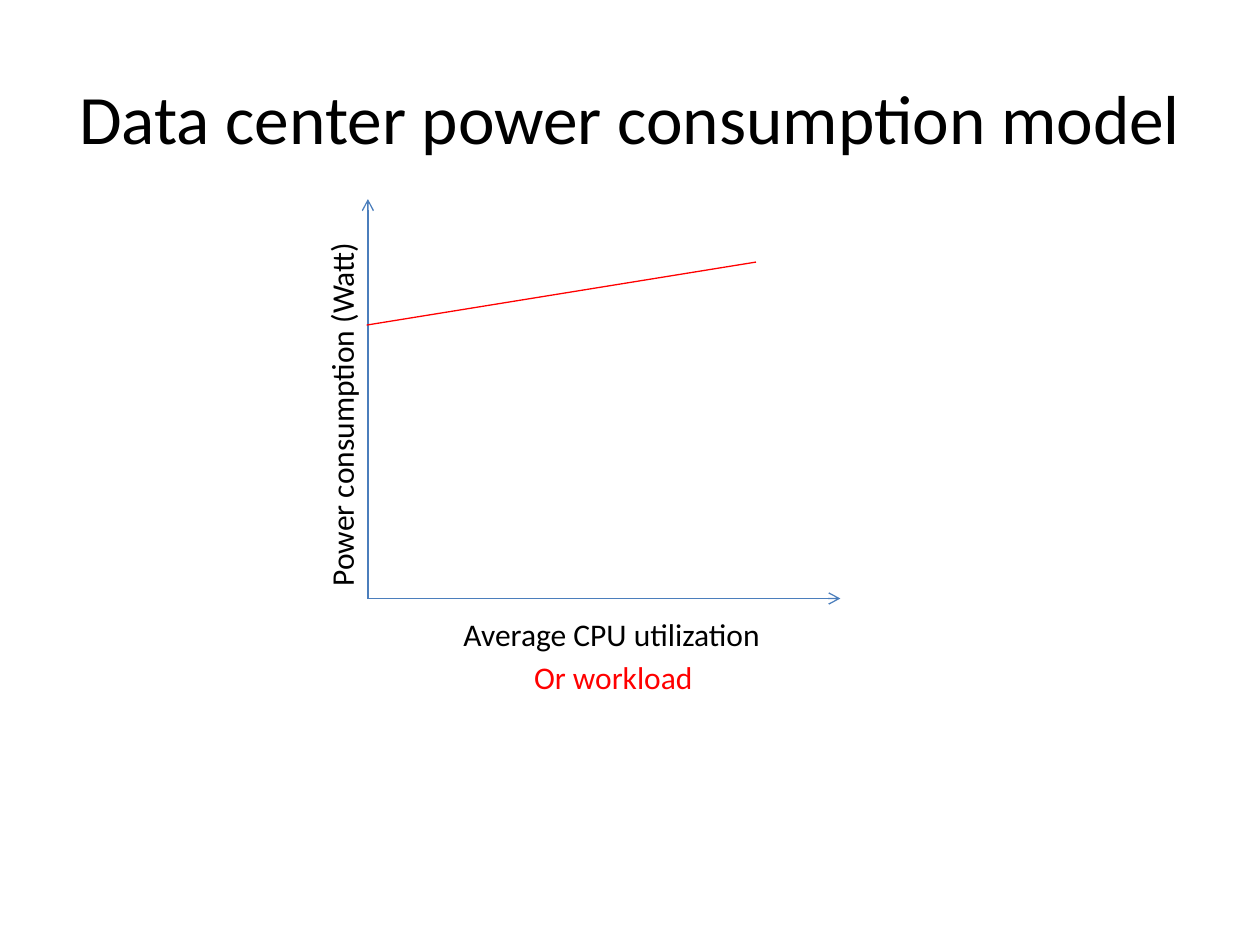
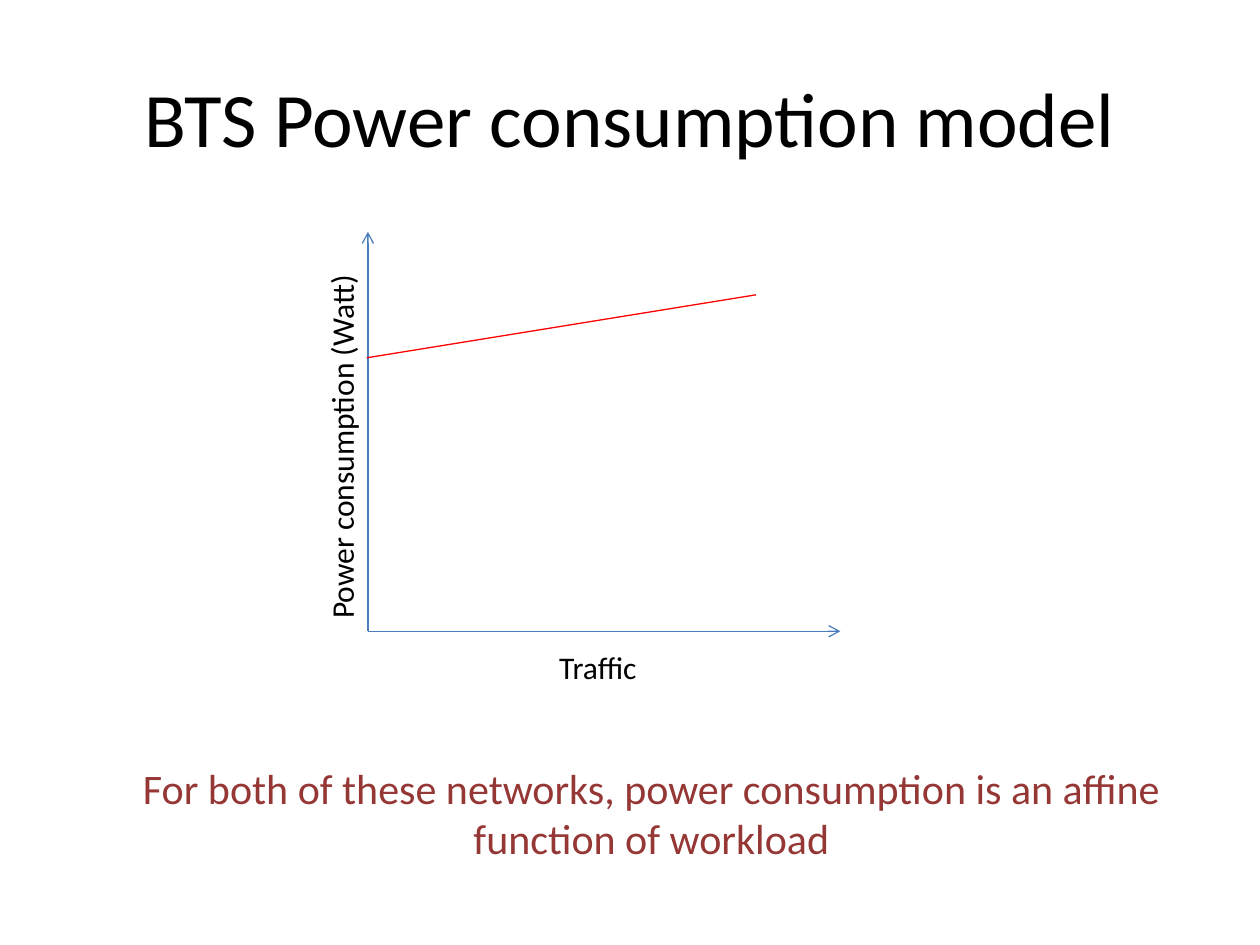
import pptx
import pptx.dml.color
import pptx.enum.shapes
import pptx.enum.text
import pptx.oxml
import pptx.oxml.ns
import pptx.util
from pptx.util import Inches

ANCHOR = pptx.enum.text.MSO_ANCHOR
ALIGN = pptx.enum.text.PP_ALIGN
BLACK, WHITE, RED = "000000", "FFFFFF", "FF0000"
BLUE, BROWN = "4B7EBC", "953735"
SPACE = 'xmlns:a="http://schemas.openxmlformats.org/drawingml/2006/main"'


def tint(code):
    return pptx.dml.color.RGBColor.from_string(code)


def assign(target, values):
    for name, value in values.items():
        setattr(target, name, value)


class Deck:
    """Holds the shared style and the slide being drawn."""

    font = {"name": "Calibri"}

    def __init__(self):
        self.file = pptx.Presentation()
        assign(self.file, {"slide_width": Inches(10), "slide_height": Inches(7.5)})

    def start(self, title, size):
        """Add a slide with its title."""
        self.slide = self.file.slides.add_slide(self.file.slide_layouts[6])
        self.text(title, 0.5, 0.3, 9, 1.25, size=size, align=ALIGN.CENTER,
                  wrap=True, anchor=ANCHOR.MIDDLE)

    def letter(self, shape, words, color=BLACK, size=18, align=ALIGN.LEFT,
               wrap=False, anchor=ANCHOR.TOP):
        """Put styled words into a shape."""
        frame = shape.text_frame
        assign(frame, {"word_wrap": wrap, "vertical_anchor": anchor})
        line = frame.paragraphs[0]
        line.alignment = align
        run = line.add_run()
        run.text = words
        assign(run.font, self.font | {"size": pptx.util.Pt(size)})
        run.font.color.rgb = tint(color)

    def text(self, words, left, top, width, height, **style):
        box = self.slide.shapes.add_textbox(
            Inches(left), Inches(top), Inches(width), Inches(height))
        self.letter(box, words, **style)

    def label(self, words, left, top, width, height):
        """Add a white box whose text reads upwards."""
        box = self.slide.shapes.add_shape(
            pptx.enum.shapes.MSO_SHAPE.RECTANGLE,
            Inches(left), Inches(top), Inches(width), Inches(height))
        box.rotation = 270
        box.shadow.inherit = False
        box.fill.solid()
        box.fill.fore_color.rgb = tint(WHITE)
        box.line.fill.background()
        self.letter(box, words)

    def line(self, start, end, color, arrow=False):
        link = self.slide.shapes.add_connector(
            pptx.enum.shapes.MSO_CONNECTOR.STRAIGHT,
            *(Inches(value) for value in start + end))
        link.line.width = pptx.util.Pt(0.75)
        link.line.color.rgb = tint(color)
        props = link.element.spPr
        if arrow:
            stroke = props.find(pptx.oxml.ns.qn("a:ln"))
            stroke.append(pptx.oxml.parse_xml(f'<a:tailEnd {SPACE} type="arrow"/>'))
        props.append(pptx.oxml.parse_xml(f"<a:effectLst {SPACE}/>"))

    def graph(self, base, name, left, width):
        """Draw the power graph with its origin at height base."""
        origin = (2.92, base)
        self.line(origin, (2.92, base - 3.17), BLUE, arrow=True)
        self.line(origin, (6.67, base), BLUE, arrow=True)
        self.text(name, left, base + 0.08, width, 0.4)
        self.label("Power consumption (Watt)", 1.23, base - 1.68, 2.96, 0.4)
        self.line((2.91, base - 2.17), (6, base - 2.67), RED)

    def save(self):
        self.file.save("out.pptx")


def main():
    deck = Deck()

    deck.start("Data center power consumption model", 39.6)
    deck.graph(4.75, "Average CPU utilization", 3.58, 2.58)
    deck.text("Or workload", 4.14, 5.17, 1.53, 0.4, color=RED)

    deck.start("BTS Power consumption model", 44)
    deck.graph(5.01, "Traffic", 4.34, 0.83)
    deck.text("For both of these networks, power consumption is an affine "
              "function of workload", 0.92, 6, 8.5, 0.91, color=BROWN,
              size=24, align=ALIGN.CENTER, wrap=True)

    deck.save()


if __name__ == "__main__":
    main()
